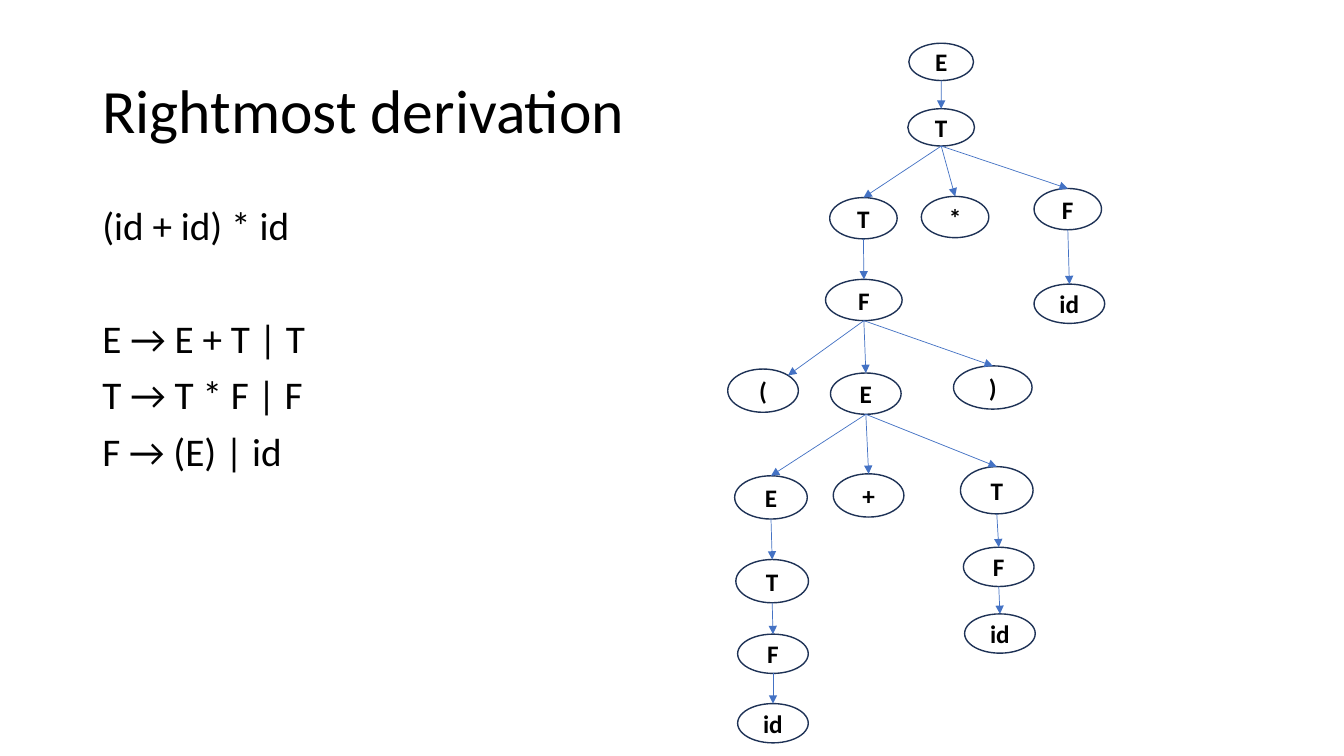
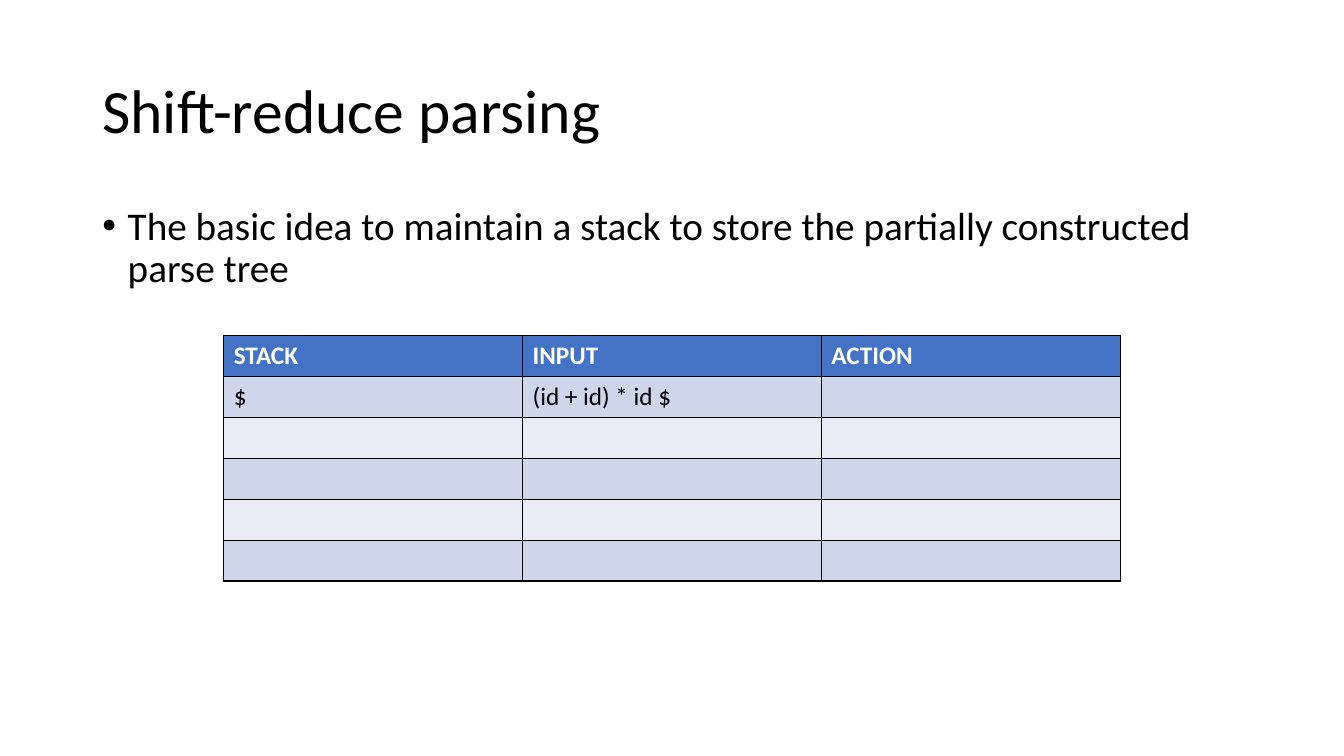
from collections import namedtuple
from math import sqrt

from lxml import etree
from pptx import Presentation
from pptx.dml.color import RGBColor
from pptx.enum.shapes import MSO_CONNECTOR, MSO_SHAPE
from pptx.enum.text import MSO_ANCHOR, PP_ALIGN
from pptx.oxml.ns import qn
from pptx.util import Cm, Pt

ELLIPSE = MSO_SHAPE.OVAL
STRAIGHT = MSO_CONNECTOR.STRAIGHT
MIDDLE = MSO_ANCHOR.MIDDLE
TOP = MSO_ANCHOR.TOP
CENTER = PP_ALIGN.CENTER

FONT = "Calibri"
COLORS = {
    "text": "000000",
    "header_text": "FFFFFF",
    "accent": "4472C4",
    "outline": "1E3256",
    "band_dark": "CFD5EA",
    "band_light": "E9EBF5",
    "border": "000000",
}
TITLE_BOX = (2.33, 1.01, 29.21, 3.68)
BODY_BOX = (2.33, 5.07, 29.21, 12.09)
PARAGRAPH_GAP = 10
BLOCK_GAP = 50.75
ELLIPSE_BOTTOM = 4
ELLIPSE_TOP_RIGHT = 7

Node = namedtuple("Node", "label center top width height children", defaults=((),))

LEFT_OPERAND = Node("E", 19.43, 11.99, 1.83, 1.09, (
    Node("T", 19.46, 14.1, 1.83, 1.09, (
        Node("F", 19.48, 15.98, 1.78, 0.99, (
            Node("id", 19.48, 17.73, 1.78, 0.99),)),)),))
RIGHT_OPERAND = Node("T", 25.12, 11.76, 1.83, 1.19, (
    Node("F", 25.17, 13.79, 1.78, 0.99, (
        Node("id", 25.2, 15.47, 1.78, 0.99),)),))
SUM = Node("E", 21.82, 9.4, 1.78, 1.04, (
    LEFT_OPERAND,
    Node("+", 21.89, 11.94, 1.78, 1.09),
    RIGHT_OPERAND))
BRACKETED = Node("T", 21.76, 4.98, 1.7, 1.04, (
    Node("F", 21.77, 7.04, 1.93, 1.04, (
        Node("(", 19.23, 9.3, 1.78, 1.09),
        SUM,
        Node(")", 25.02, 9.22, 1.98, 1.09))),))
FACTOR = Node("F", 26.91, 4.75, 1.7, 1.04, (
    Node("id", 26.95, 7.16, 1.78, 0.99),))
PARSE_TREE = Node("E", 23.72, 1.09, 1.63, 0.94, (
    Node("T", 23.72, 2.74, 1.68, 0.94, (
        BRACKETED,
        Node("*", 24.07, 4.95, 1.7, 1.04),
        FACTOR)),))

GRAMMAR = [
    ("(id + id) * id", 0),
    ("E → E + T | T", BLOCK_GAP),
    ("T → T * F | F", PARAGRAPH_GAP),
    ("F → (E) | id", PARAGRAPH_GAP),
]
PARSE_STEPS = [
    ("STACK", "INPUT", "ACTION"),
    ("$", "(id + id) * id $", ""),
    *[("", "", "")] * 4,
]


def color(name):
    return RGBColor.from_string(COLORS[name])


def add_run(paragraph, text, size, color_name="text", bold=False):
    run = paragraph.add_run()
    run.text = text
    run.font.name = FONT
    run.font.size = Pt(size)
    run.font.bold = bold
    run.font.color.rgb = color(color_name)


def add_bullet(paragraph):
    properties = paragraph._p.get_or_add_pPr()
    properties.set("marL", str(Cm(0.64)))
    properties.set("indent", str(-Cm(0.64)))
    etree.SubElement(properties, qn("a:buFont"), typeface="Arial")
    etree.SubElement(properties, qn("a:buChar"), char="•")


def add_text(slide, box, lines, size, anchor=TOP, bulleted=False):
    frame = slide.shapes.add_textbox(*map(Cm, box)).text_frame
    frame.word_wrap = True
    frame.vertical_anchor = anchor
    for index, (text, gap) in enumerate(lines):
        paragraph = frame.add_paragraph() if index else frame.paragraphs[0]
        if bulleted:
            add_bullet(paragraph)
        paragraph.line_spacing = 0.9
        if gap:
            paragraph.space_before = Pt(gap)
        add_run(paragraph, text, size)


def add_titled_slide(presentation, title):
    slide = presentation.slides.add_slide(presentation.slide_layouts[6])
    add_text(slide, TITLE_BOX, [(title, 0)], 44, MIDDLE)
    return slide


def add_node(slide, node):
    shape = slide.shapes.add_shape(
        ELLIPSE, Cm(node.center - node.width / 2), Cm(node.top),
        Cm(node.width), Cm(node.height))
    shape.shadow.inherit = False
    shape.fill.background()
    shape.line.color.rgb = color("outline")
    shape.line.width = Pt(1)
    frame = shape.text_frame
    frame.margin_left = frame.margin_right = 0
    frame.margin_top = frame.margin_bottom = 0
    frame.word_wrap = False
    frame.vertical_anchor = MIDDLE
    frame.paragraphs[0].alignment = CENTER
    add_run(frame.paragraphs[0], node.label, 18, bold=True)
    return shape


def attach_to_top_right(connector, ellipse):
    reach = (1 + 1 / sqrt(2)) / 2
    connector.end_x = ellipse.left + int(ellipse.width * reach)
    connector.end_y = ellipse.top + int(ellipse.height * (1 - reach))
    end = next(connector._element.iter(qn("a:endCxn")))
    end.set("idx", str(ELLIPSE_TOP_RIGHT))


def add_branch(slide, parent, child):
    connector = slide.shapes.add_connector(STRAIGHT, 0, 0, 0, 0)
    connector.begin_connect(parent, 2)
    start = next(connector._element.iter(qn("a:stCxn")))
    start.set("idx", str(ELLIPSE_BOTTOM))
    connector.end_connect(child, 0)
    if child.text_frame.text == "(":
        attach_to_top_right(connector, child)
    connector.line.color.rgb = color("accent")
    connector.line.width = Pt(0.5)
    etree.SubElement(connector.line._get_or_add_ln(), qn("a:tailEnd"), type="triangle")
    etree.SubElement(connector._element.spPr, qn("a:effectLst"))


def add_tree(slide, node):
    parent = add_node(slide, node)
    for child in node.children:
        add_branch(slide, parent, add_tree(slide, child))
    return parent


def add_borders(cell):
    properties = cell._tc.get_or_add_tcPr()
    for side in ("lnL", "lnR", "lnT", "lnB"):
        line = etree.SubElement(properties, qn(f"a:{side}"), w=str(Pt(1)))
        fill = etree.SubElement(line, qn("a:solidFill"))
        etree.SubElement(fill, qn("a:srgbClr"), val=COLORS["border"])


def add_table(slide, rows, left, top, column_width, row_height):
    columns = len(rows[0])
    table = slide.shapes.add_table(
        len(rows), columns, Cm(left), Cm(top),
        Cm(column_width * columns), Cm(row_height * len(rows))).table
    for row_index, texts in enumerate(rows):
        header = row_index == 0
        band = "band_dark" if row_index % 2 else "band_light"
        for column_index, text in enumerate(texts):
            cell = table.cell(row_index, column_index)
            add_borders(cell)
            cell.fill.solid()
            cell.fill.fore_color.rgb = color("accent" if header else band)
            if text:
                add_run(cell.text_frame.paragraphs[0], text, 18,
                        "header_text" if header else "text", header)


def main():
    presentation = Presentation()
    presentation.slide_width = Cm(33.87)
    presentation.slide_height = Cm(19.05)

    derivation = add_titled_slide(presentation, "Rightmost derivation")
    add_text(derivation, BODY_BOX, GRAMMAR, 28)
    add_tree(derivation, PARSE_TREE)

    parsing = add_titled_slide(presentation, "Shift-reduce parsing")
    idea = "The basic idea to maintain a stack to store the partially constructed parse tree"
    add_text(parsing, BODY_BOX, [(idea, 0)], 28, bulleted=True)
    add_table(parsing, PARSE_STEPS, 5.64, 8.46, 7.53, 1.03)

    presentation.save("out.pptx")


if __name__ == "__main__":
    main()
